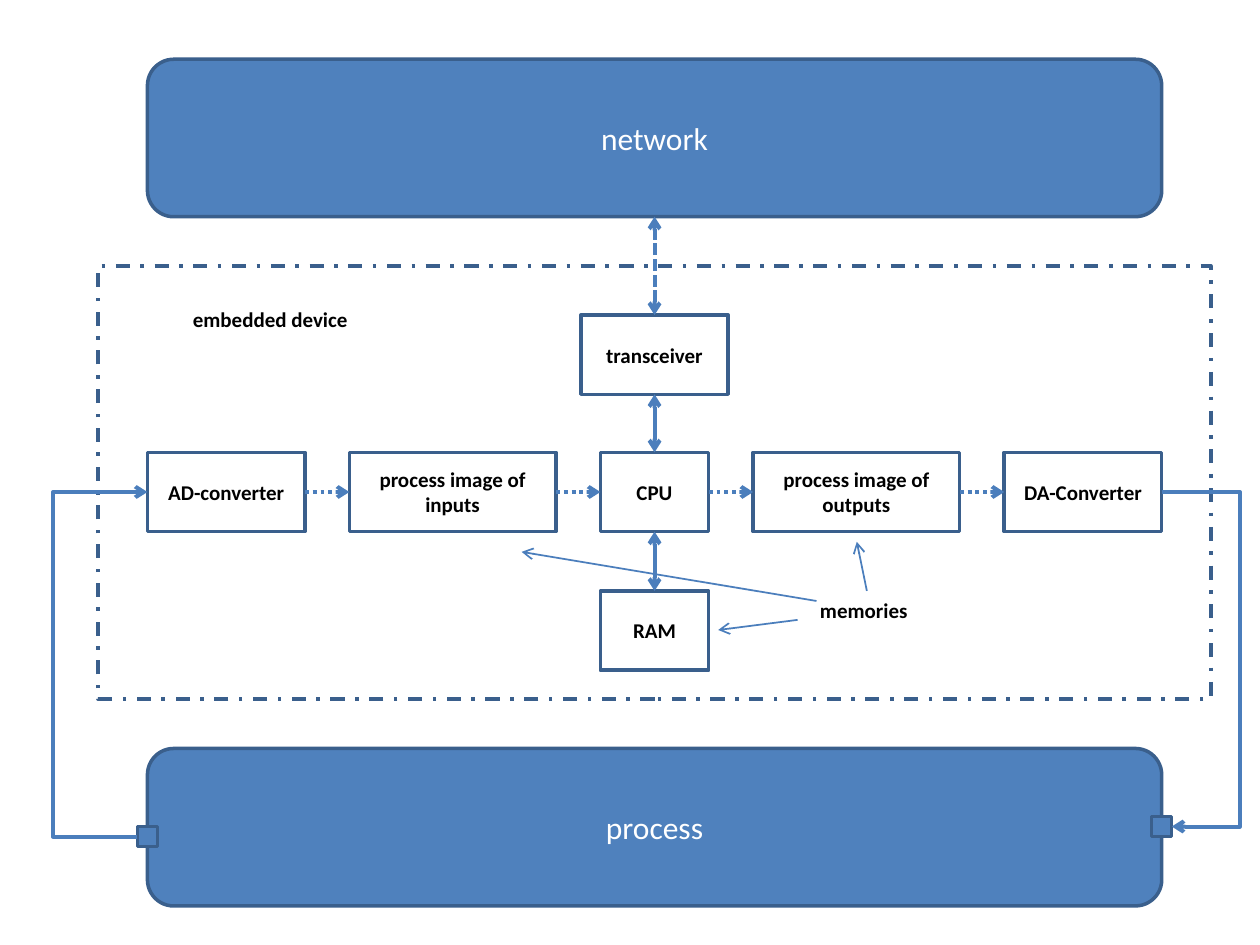
import pptx
import pptx.util
import pptx.dml.color
import pptx.enum.dml
import pptx.enum.shapes
import pptx.enum.text
import pptx.oxml
import pptx.oxml.ns

Inches = pptx.util.Inches
Pt = pptx.util.Pt
RGBColor = pptx.dml.color.RGBColor
SHAPE = pptx.enum.shapes.MSO_SHAPE
CONNECTOR = pptx.enum.shapes.MSO_CONNECTOR
DASH = pptx.enum.dml.MSO_LINE
ANCHOR = pptx.enum.text.MSO_ANCHOR
ALIGN = pptx.enum.text.PP_ALIGN

BLUE = RGBColor(0x4F, 0x81, 0xBD)
OUTLINE = RGBColor(0x3A, 0x5F, 0x8C)
ARROW = RGBColor(0x4B, 0x7E, 0xBC)
WHITE = RGBColor(0xFF, 0xFF, 0xFF)
BLACK = RGBColor(0x00, 0x00, 0x00)

LEFT, WIDTH = 1.17, 8.05
RIGHT = LEFT + WIDTH
CENTER = LEFT + WIDTH / 2
ROW_Y, BOX_H = 3.59, 0.63
ROW_MID = ROW_Y + BOX_H / 2
PORT = 0.16
TOP_SITE, LEFT_SITE, BOTTOM_SITE, RIGHT_SITE = range(4)

STAGES = [
    ("AD-converter", 1.25),
    ("process image of inputs", 1.64),
    ("CPU", 0.86),
    ("process image of outputs", 1.64),
    ("DA-Converter", 1.25),
]
MEMORY_POINTERS = [
    ((6.88, 4.69), (6.8, 4.3)),
    ((6.48, 4.77), (4.14, 4.38)),
    ((6.33, 4.92), (5.7, 5)),
]


def write_text(sp, text, size=12, bold=True, color=BLACK, align=ALIGN.CENTER):
    p = sp.text_frame.paragraphs[0]
    p.text = text
    p.alignment = align
    p.font.name = "Calibri"
    p.font.size = Pt(size)
    p.font.bold = bold
    p.font.color.rgb = color


def add_shape(s, kind, x, y, w, h, fill=None):
    sp = s.shapes.add_shape(kind, Inches(x), Inches(y), Inches(w), Inches(h))
    sp.shadow.inherit = False
    if fill is None:
        sp.fill.background()
    else:
        sp.fill.solid()
        sp.fill.fore_color.rgb = fill
    sp.line.color.rgb = OUTLINE
    sp.line.width = Pt(2)
    return sp


def add_box(s, text, x, y, w):
    sp = add_shape(s, SHAPE.RECTANGLE, x, y, w, BOX_H, WHITE)
    sp.text_frame.vertical_anchor = ANCHOR.MIDDLE
    write_text(sp, text)
    return sp


def add_bar(s, text, y):
    sp = add_shape(s, SHAPE.ROUNDED_RECTANGLE, LEFT, y, WIDTH, 1.25, BLUE)
    sp.text_frame.vertical_anchor = ANCHOR.MIDDLE
    write_text(sp, text, 18, False, WHITE)
    return sp


def add_port(s, x, y):
    """Add a small square centred on a point of the process bar's edge."""
    add_shape(s, SHAPE.RECTANGLE, x - PORT / 2, y - PORT / 2, PORT, PORT, BLUE)


def add_label(s, text, x, y, w, h, align, anchor, wrap):
    tb = s.shapes.add_textbox(Inches(x), Inches(y), Inches(w), Inches(h))
    tb.text_frame.word_wrap = wrap
    tb.text_frame.vertical_anchor = anchor
    write_text(tb, text, align=align)


def add_arrow(s, start, end, width=2.25, dash=None, both=False,
              kind=CONNECTOR.STRAIGHT):
    c = s.shapes.add_connector(kind, *(Inches(v) for v in (*start, *end)))
    c.line.color.rgb = ARROW
    c.line.width = Pt(width)
    if dash is not None:
        c.line.dash_style = dash
    ln = c.line._get_or_add_ln()
    for tag in ("a:headEnd", "a:tailEnd") if both else ("a:tailEnd",):
        end_mark = pptx.oxml.ns.qn(tag)
        ln.append(ln.makeelement(end_mark, {"type": "arrow"}))
    sp_pr = c._element.spPr
    sp_pr.append(sp_pr.makeelement(pptx.oxml.ns.qn("a:effectLst"), {}))
    return c


def link(s, first, first_site, second, second_site, **style):
    """Draw an arrow glued to a connection site of each shape."""
    c = add_arrow(s, (0, 0), (1, 1), **style)
    c.begin_connect(first, first_site)
    c.end_connect(second, second_site)


def add_loop(s, start, end, via_x):
    """Draw an elbow arrow whose vertical leg runs at via_x."""
    c = add_arrow(s, start, end, kind=CONNECTOR.ELBOW)
    ratio = (via_x - start[0]) / (end[0] - start[0])
    guides = c._element.spPr.find(".//" + pptx.oxml.ns.qn("a:avLst"))
    guides.append(guides.makeelement(
        pptx.oxml.ns.qn("a:gd"),
        {"name": "adj1", "fmla": f"val {round(ratio * 100000)}"}))


def add_stages(s):
    """Spread the signal chain evenly over the full width; return its CPU."""
    gap = (WIDTH - sum(w for _, w in STAGES)) / (len(STAGES) - 1)
    boxes, x = [], LEFT
    for text, w in STAGES:
        boxes.append(add_box(s, text, x, ROW_Y, w))
        x += w + gap
    for first, second in zip(boxes, boxes[1:]):
        link(s, first, RIGHT_SITE, second, LEFT_SITE, dash=DASH.ROUND_DOT)
    return boxes[2]


def main():
    prs = pptx.Presentation()
    prs.slide_width, prs.slide_height = Inches(10), Inches(7.5)
    s = prs.slides.add_slide(prs.slide_layouts[6])

    add_label(s, "embedded device", 1.09, 2.34, 2.11, 0.39,
              ALIGN.CENTER, ANCHOR.MIDDLE, True)
    frame = add_shape(s, SHAPE.RECTANGLE, 0.78, 2.11, 8.83, 3.44)
    frame.line.dash_style = DASH.DASH_DOT
    cpu = add_stages(s)

    add_bar(s, "process", 5.94)
    network = add_bar(s, "network", 0.47)
    add_port(s, LEFT, 6.64)
    add_loop(s, (LEFT - PORT / 2, 6.64), (LEFT, ROW_MID), 0.42)
    add_port(s, RIGHT, 6.56)
    add_loop(s, (RIGHT, ROW_MID), (RIGHT + PORT / 2, 6.56), 9.84)

    ram = add_box(s, "RAM", CENTER - 0.43, 4.69, 0.86)
    transceiver = add_box(s, "transceiver", CENTER - 0.585, 2.5, 1.17)
    link(s, cpu, BOTTOM_SITE, ram, TOP_SITE, both=True)
    link(s, transceiver, BOTTOM_SITE, cpu, TOP_SITE, both=True)
    link(s, transceiver, TOP_SITE, network, BOTTOM_SITE, both=True,
         dash=DASH.SQUARE_DOT)

    add_label(s, "memories", 6.41, 4.69, 0.9, 0.3,
              ALIGN.LEFT, ANCHOR.TOP, False)
    for start, end in MEMORY_POINTERS:
        add_arrow(s, start, end, width=1)

    prs.save("out.pptx")


if __name__ == "__main__":
    main()
